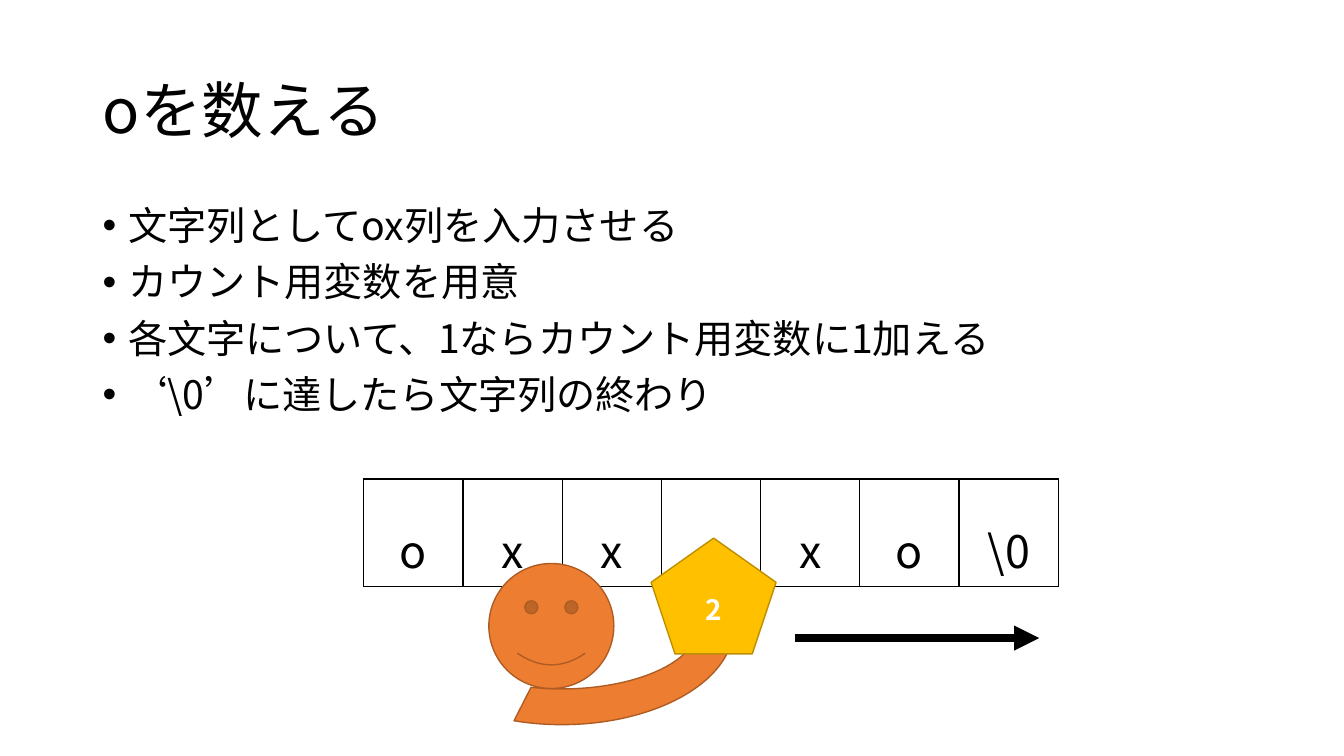
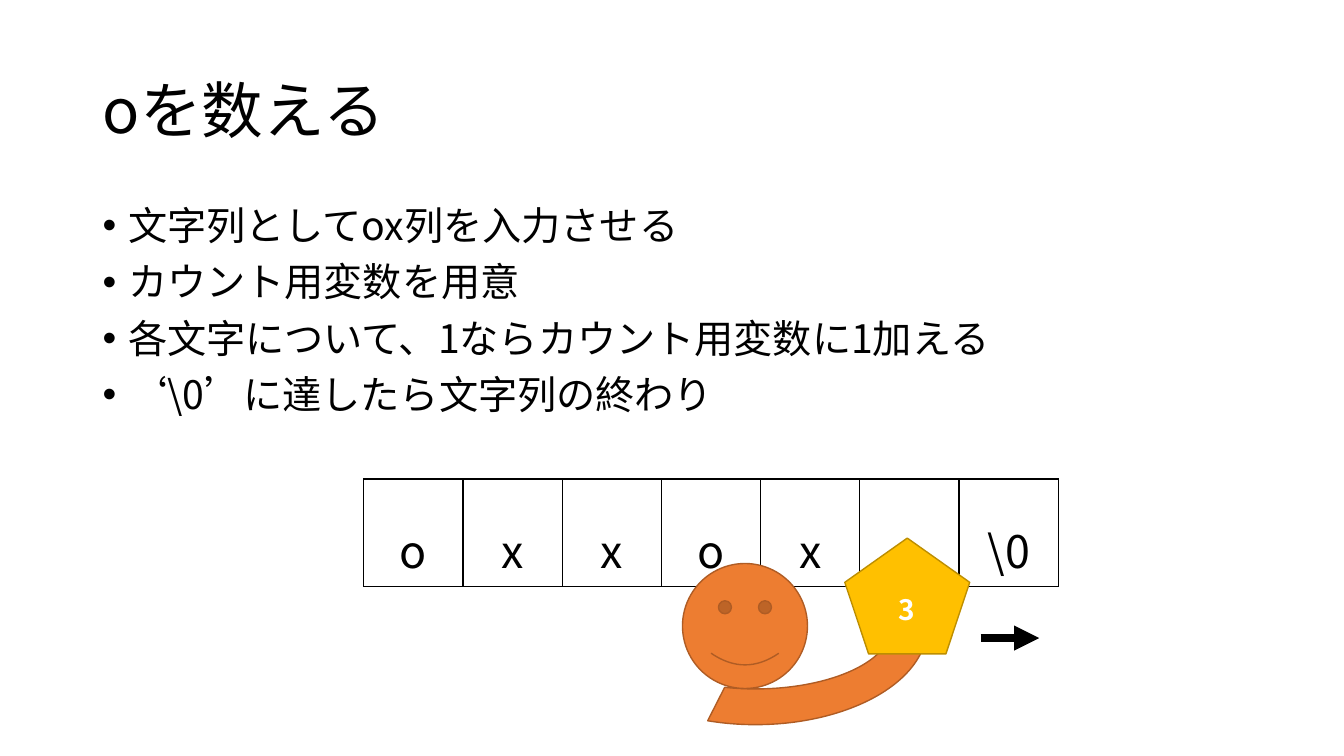
from lxml import etree
from pptx import Presentation
from pptx.dml.color import RGBColor
from pptx.enum import shapes, text
from pptx.oxml import ns
from pptx.util import Cm, Pt

FONT = "Noto Sans CJK JP"
BLACK = RGBColor(0x00, 0x00, 0x00)
WHITE = RGBColor(0xFF, 0xFF, 0xFF)
ORANGE = RGBColor(0xED, 0x7D, 0x31)
DARK_ORANGE = RGBColor(0xAF, 0x5C, 0x24)
GOLD = RGBColor(0xFF, 0xC0, 0x00)
DARK_GOLD = RGBColor(0xBD, 0x8E, 0x00)

MARGIN = Cm(2.34)
CONTENT_WIDTH = Cm(29.2)
CELL_SIZE = Cm(2.5)
ARROW_Y = Cm(16.08)
ARROW_END = Cm(26.19)

TITLE = "oを数える"
STEPS = [
    "文字列としてox列を入力させる",
    "カウント用変数を用意",
    "各文字について、1ならカウント用変数に1加える",
    "‘\\0’に達したら文字列の終わり",
]
CHARACTERS = ["o", "x", "x", "o", "x", "o", "\\0"]
SCENES = [
    ("2", 9.83, 20.04),
    ("3", 14.71, 24.71),
]


def add_element(parent, tag, **attributes):
    return etree.SubElement(parent, ns.qn(tag), attributes)


def style_paragraph(paragraph, size, color=BLACK, bold=False, spacing=None, align=None):
    paragraph.line_spacing = spacing
    paragraph.alignment = align
    for run in paragraph.runs:
        run.font.size = Pt(size)
        run.font.bold = bold
        run.font.color.rgb = color
        run.font.name = FONT
        add_element(run.font._element, "a:ea", typeface=FONT)


def add_text_area(slide, top, height):
    frame = slide.shapes.add_textbox(MARGIN, top, CONTENT_WIDTH, height).text_frame
    frame.word_wrap = True
    return frame


def add_title(slide):
    frame = add_text_area(slide, Cm(1.02), Cm(3.68))
    frame.vertical_anchor = text.MSO_ANCHOR.MIDDLE
    frame.text = TITLE
    style_paragraph(frame.paragraphs[0], 44, spacing=0.9)


def add_steps(slide):
    frame = add_text_area(slide, Cm(5.08), Cm(5.84))
    frame.text = "\n".join(STEPS)
    for index, paragraph in enumerate(frame.paragraphs):
        properties = paragraph._p.get_or_add_pPr()
        properties.set("marL", str(Cm(0.64)))
        properties.set("indent", str(-Cm(0.64)))
        add_element(properties, "a:buFont", typeface="Arial")
        add_element(properties, "a:buChar", char="•")
        if index:
            paragraph.space_before = Pt(10)
        style_paragraph(paragraph, 28, spacing=0.9)


def add_cell_borders(cell):
    properties = cell._tc.get_or_add_tcPr()
    for position, side in enumerate(("a:lnL", "a:lnR", "a:lnT", "a:lnB")):
        border = etree.Element(ns.qn(side), w=str(Pt(1)))
        fill = add_element(border, "a:solidFill")
        add_element(fill, "a:srgbClr", val=str(BLACK))
        properties.insert(position, border)


def add_character_array(slide):
    count = len(CHARACTERS)
    table = slide.shapes.add_table(
        1, count, Cm(9.17), Cm(12.07), CELL_SIZE * count, CELL_SIZE
    ).table
    table.first_row = False
    table.horz_banding = False
    for cell, character in zip(table.iter_cells(), CHARACTERS):
        cell.text = character
        cell.fill.background()
        add_cell_borders(cell)
        style_paragraph(cell.text_frame.paragraphs[0], 32, spacing=1.5,
                        align=text.PP_ALIGN.CENTER)


def add_figure_part(group, kind, left, top, width, height, fill, outline):
    part = group.shapes.add_shape(kind, Cm(left), Cm(top), Cm(width), Cm(height))
    part.shadow.inherit = False
    part.fill.solid()
    part.fill.fore_color.rgb = fill
    part.line.color.rgb = outline
    part.line.width = Pt(1)
    return part


def add_counter_figure(slide, left, count):
    kinds = shapes.MSO_SHAPE
    group = slide.shapes.add_group_shape()
    arm = add_figure_part(group, kinds.BLOCK_ARC, left, 13.31, 8.66, 4.95,
                          ORANGE, DARK_ORANGE)
    arm.rotation = 180
    for index, value in enumerate((108, 178.144, 0.182)):
        arm.adjustments[index] = value
    add_figure_part(group, kinds.SMILEY_FACE, left + 2.49, 14.2, 3.15, 3.15,
                    ORANGE, DARK_ORANGE)
    counter = add_figure_part(group, kinds.REGULAR_PENTAGON, left + 6.58, 13.56, 3.15, 2.92,
                              GOLD, DARK_GOLD)
    frame = counter.text_frame
    frame.vertical_anchor = text.MSO_ANCHOR.MIDDLE
    frame.text = count
    style_paragraph(frame.paragraphs[0], 20, WHITE, bold=True, align=text.PP_ALIGN.CENTER)


def add_progress_arrow(slide, start):
    arrow = slide.shapes.add_connector(
        shapes.MSO_CONNECTOR.STRAIGHT, Cm(start), ARROW_Y, ARROW_END, ARROW_Y
    )
    arrow.line.color.rgb = BLACK
    arrow.line.width = Pt(6)
    add_element(arrow.line._get_or_add_ln(), "a:tailEnd", type="triangle")
    add_element(arrow._element.spPr, "a:effectLst")


def main():
    presentation = Presentation()
    presentation.slide_width = Cm(33.87)
    presentation.slide_height = Cm(19.05)
    for count, figure_left, arrow_start in SCENES:
        slide = presentation.slides.add_slide(presentation.slide_layouts[6])
        add_character_array(slide)
        add_title(slide)
        add_counter_figure(slide, figure_left, count)
        add_steps(slide)
        add_progress_arrow(slide, arrow_start)
    presentation.save("out.pptx")


if __name__ == "__main__":
    main()
